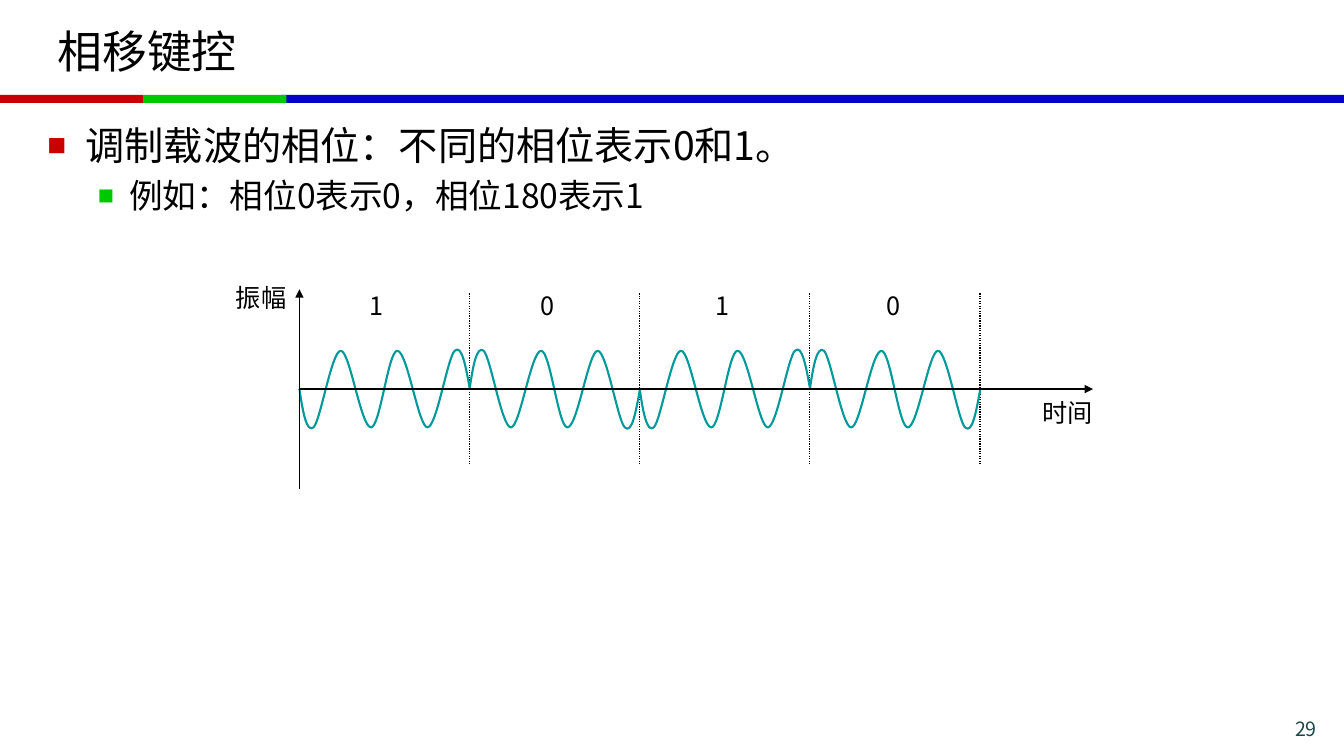
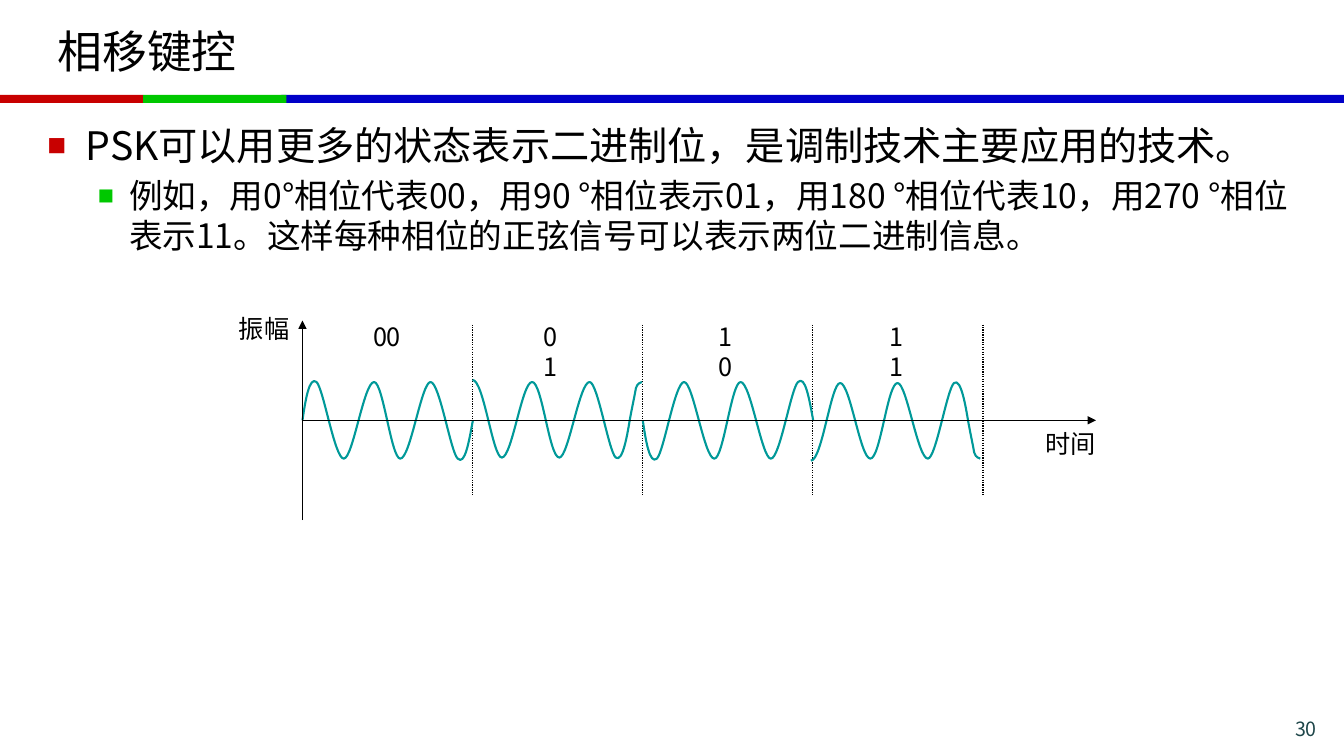
from lxml.etree import SubElement
from pptx import Presentation
from pptx.dml.color import RGBColor
from pptx.enum.dml import MSO_LINE
from pptx.enum.shapes import MSO_CONNECTOR, MSO_SHAPE
from pptx.enum.text import MSO_ANCHOR, MSO_AUTO_SIZE, PP_ALIGN
from pptx.oxml.ns import qn
from pptx.util import Inches, Pt

FONT = "Noto Sans CJK SC"
COLORS = {"red": "C80000", "green": "00C800", "blue": "0000C8",
          "ink": "000000", "wave": "009999", "number": "1E4649"}
WIDTH, HEIGHT = 13.33, 7.5
BANDS = [(2.79, 10.54, "blue"), (0, 1.42, "red"), (1.42, 1.42, "green")]
TITLE_FRAME = (0.47, 0.08, 12.39, 0.84)
LEVELS = [(28, 0.38, -0.38, "red", 0), (24, 0.81, -0.31, "green", 4.8)]

SLOT = 6.75 / 4
LABEL_LEFTS = [0.7, 2.39, 4.13, 5.82]
LABEL_WIDTHS = {"0": 0.14, "1": 0.14, "00": 0.3, "01": 0.24, "10": 0.24, "11": 0.19}
SINE = [(0, 0),
        (0.03, 0.21), (0.07, 0.44), (0.14, 0.38),
        (0.21, 0.31), (0.32, -0.38), (0.41, -0.38),
        (0.5, -0.38), (0.61, 0.38), (0.71, 0.38),
        (0.8, 0.38), (0.88, -0.38), (0.97, -0.38),
        (1.07, -0.38), (1.18, 0.38), (1.27, 0.38),
        (1.36, 0.38), (1.47, -0.32), (1.54, -0.38),
        (1.61, -0.45), (1.65, -0.22), (1.69, 0)]
COSINE = [(0, 0.4),
          (0.11, 0.4), (0.2, -0.37), (0.29, -0.37),
          (0.39, -0.37), (0.49, 0.38), (0.59, 0.38),
          (0.69, 0.38), (0.76, -0.37), (0.86, -0.37),
          (0.95, -0.37), (1.06, 0.38), (1.16, 0.38),
          (1.24, 0.38), (1.35, -0.31), (1.42, -0.37),
          (1.49, -0.43), (1.54, -0.11), (1.56, 0.01),
          (1.58, 0.12), (1.61, 0.26), (1.62, 0.32),
          (1.64, 0.38), (1.67, 0.37), (1.68, 0.38)]
PHASES = {0: (SINE, 1, 0), 90: (COSINE, 1, 0),
          180: (SINE, -1, 0), 270: (COSINE, -1, -0.02)}

SLIDES = [
    {"title": "相移键控", "number": "29", "origin": (2.97, 3.86),
     "body": (0.37, 1.15, 12.6, 1.46),
     "points": ["调制载波的相位：不同的相位表示0和1。",
                "例如：相位0表示0，相位180表示1"],
     "signal": [("1", 180), ("0", 0), ("1", 180), ("0", 0)]},
    {"title": "相移键控", "number": "30", "origin": (3, 4.17),
     "body": (0.37, 1.15, 12.6, 1.97),
     "points": ["PSK可以用更多的状态表示二进制位，是调制技术主要应用的技术。",
                "例如，用0°相位代表00，用90 °相位表示01，用180 °相位代表10，"
                "用270 °相位表示11。这样每种相位的正弦信号可以表示两位二进制信息。"],
     "signal": [("00", 0), ("01", 90), ("10", 180), ("11", 270)]},
]


def rgb(name):
    return RGBColor.from_string(COLORS[name])


def style(paragraph, size, color="ink"):
    for run in paragraph.runs:
        run.font.size = Pt(size)
        run.font.name = FONT
        run.font.color.rgb = rgb(color)
        SubElement(run.font._element, qn("a:ea"), typeface=FONT)


def place(shape, frame):
    shape.left, shape.top, shape.width, shape.height = map(Inches, frame)


def add_bands(slide, layout):
    for order, (left, width, color) in enumerate(BANDS):
        band = slide.shapes.add_shape(
            MSO_SHAPE.RECTANGLE, *map(Inches, (left, 0.94, width, 0.08)))
        band.shadow.inherit = False
        band.fill.solid()
        band.fill.fore_color.rgb = rgb(color)
        band.line.fill.background()
        band.element.nvSpPr.cNvPr.set("id", str(100 + order))
        layout.shapes.element.insert(2 + order, band.element)


def add_label(slide, text, frame, wrap=False):
    label = slide.shapes.add_textbox(*map(Inches, frame)).text_frame
    label.margin_left = label.margin_right = 0
    label.margin_top = label.margin_bottom = 0
    label.auto_size = MSO_AUTO_SIZE.SHAPE_TO_FIT_TEXT
    label.word_wrap = wrap
    label.text = text
    style(label.paragraphs[0], 18)


def add_rule(parent, start, end, weight, arrow=False):
    rule = parent.shapes.add_connector(
        MSO_CONNECTOR.STRAIGHT, *map(Inches, (*start, *end)))
    rule.line.color.rgb = rgb("ink")
    rule.line.width = Pt(weight)
    if arrow:
        SubElement(rule.line._get_or_add_ln(), qn("a:tailEnd"), type="triangle")
    else:
        rule.line.dash_style = MSO_LINE.ROUND_DOT
    SubElement(rule.element.spPr, qn("a:effectLst"))


def bend_segments(outline):
    segments = list(outline.element.iter(qn("a:lnTo")))
    for first in range(0, len(segments), 3):
        triple = segments[first:first + 3]
        curve = SubElement(triple[0].getparent(), qn("a:cubicBezTo"))
        for segment in triple:
            curve.append(segment[0])
            segment.getparent().remove(segment)


def add_wave(slide, left, axis, phase):
    profile, sign, shift = PHASES[phase]
    knots = [(Inches(left + shift + x), Inches(axis - sign * y)) for x, y in profile]
    builder = slide.shapes.build_freeform(*knots[0], scale=1.0)
    builder.add_line_segments(knots[1:], close=False)
    wave = builder.convert_to_shape()
    bend_segments(wave)
    wave.shadow.inherit = False
    wave.fill.background()
    wave.line.color.rgb = rgb("wave")
    wave.line.width = Pt(1.5)


def add_signal(slide, origin, signal):
    x, y = origin
    dividers = slide.shapes.add_group_shape()
    for slot, ((bits, phase), offset) in enumerate(zip(signal, LABEL_LEFTS)):
        left = x + slot * SLOT
        add_wave(slide, left, y, phase)
        add_rule(dividers, (left + SLOT, y - 0.95), (left + SLOT, y + 0.74), 0.88)
        add_label(slide, bits, (x + offset, y - 0.98, LABEL_WIDTHS[bits], 0.3), wrap=True)
    add_rule(slide, (x, y + 0.99), (x, y - 0.99), 1, arrow=True)
    add_rule(slide, (x, y), (x + 7.87, y), 1, arrow=True)
    add_label(slide, "振幅", (x - 0.63, y - 1.06, 0.5, 0.3))
    add_label(slide, "时间", (x + 7.37, y + 0.08, 0.5, 0.3))


def fill_title(title, text):
    title.text_frame.text = text
    title.text_frame.vertical_anchor = MSO_ANCHOR.MIDDLE
    title.text_frame.auto_size = MSO_AUTO_SIZE.NONE
    title.text_frame.paragraphs[0].alignment = PP_ALIGN.LEFT
    style(title.text_frame.paragraphs[0], 32)


def fill_body(body, points):
    frame = body.text_frame
    frame.text = "\n".join(points)
    frame.auto_size = MSO_AUTO_SIZE.NONE
    for level, (paragraph, look) in enumerate(zip(frame.paragraphs, LEVELS)):
        size, margin, indent, color, before = look
        paragraph.level = level
        props = paragraph._p.get_or_add_pPr()
        props.set("marL", str(Inches(margin)))
        props.set("indent", str(Inches(indent)))
        tint = SubElement(props, qn("a:buClr"))
        SubElement(tint, qn("a:srgbClr"), val=COLORS[color])
        SubElement(props, qn("a:buSzPct"), val="80000")
        SubElement(props, qn("a:buChar"), char="■")
        paragraph.space_before = Pt(before)
        style(paragraph, size)


def add_number(slide, number):
    box = slide.shapes.add_textbox(*map(Inches, (11.86, 7.06, 1.3, 0.28)))
    box.text_frame.word_wrap = True
    box.text_frame.text = number
    box.text_frame.paragraphs[0].alignment = PP_ALIGN.RIGHT
    style(box.text_frame.paragraphs[0], 14, "number")


def main():
    deck = Presentation()
    deck.slide_width, deck.slide_height = Inches(WIDTH), Inches(HEIGHT)
    layout = deck.slide_layouts[1]
    place(layout.placeholders[0], TITLE_FRAME)
    for order, content in enumerate(SLIDES):
        slide = deck.slides.add_slide(layout)
        if order == 0:
            add_bands(slide, layout)
        fill_title(slide.shapes.title, content["title"])
        place(slide.placeholders[1], content["body"])
        fill_body(slide.placeholders[1], content["points"])
        add_signal(slide, content["origin"], content["signal"])
        add_number(slide, content["number"])
    deck.save("out.pptx")


if __name__ == "__main__":
    main()
